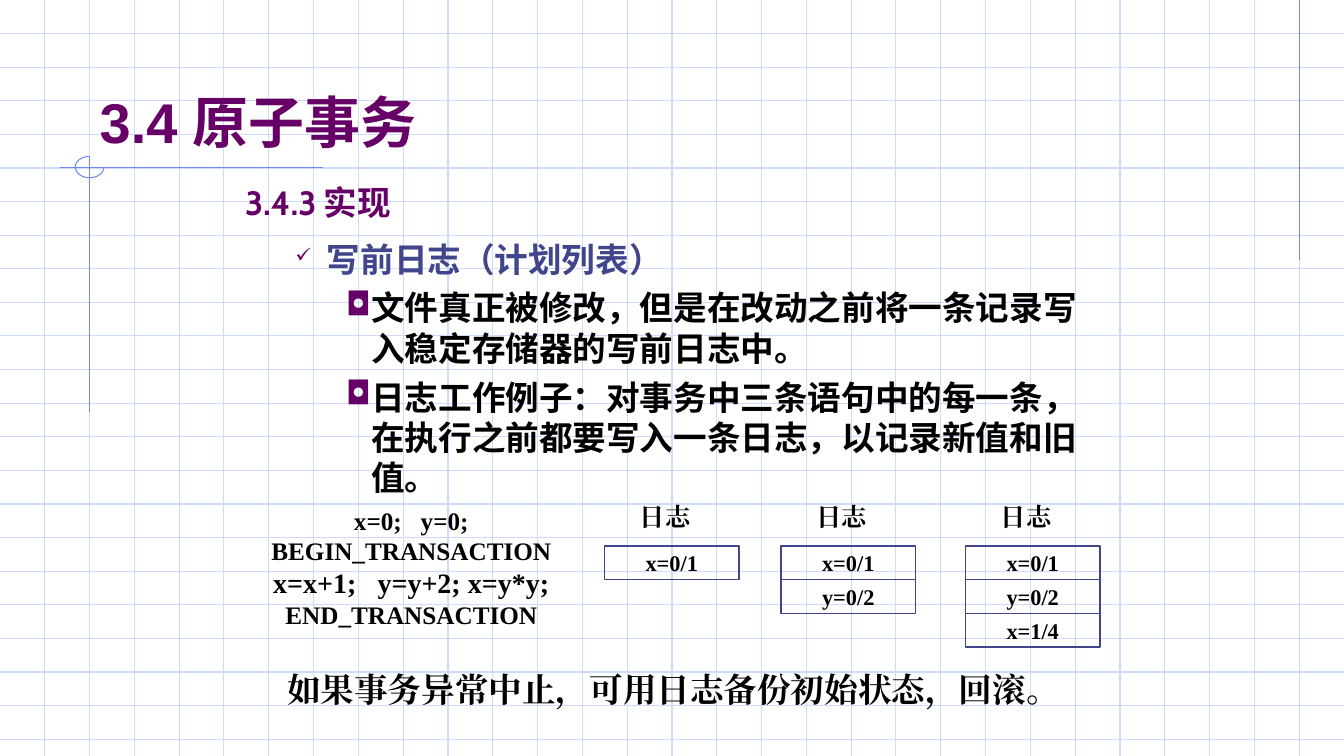
from dataclasses import dataclass

from lxml import etree
from pptx import Presentation
from pptx import util as u
from pptx.dml.color import RGBColor
from pptx.enum import shapes, text
from pptx.oxml import ns


@dataclass(frozen=True)
class Theme:
    purple: str = "660066"
    indigo: str = "40458C"
    black: str = "000000"
    grid: str = "CFDBFD"
    accent: str = "6F89F7"
    title_latin: str = "Arial"
    title_chinese: str = "Noto Sans CJK SC"
    body: str = "Cabin"
    serif: str = "Times New Roman"
    title_size: int = 40
    body_size: int = 24
    code_size: int = 20
    label_size: int = 18
    entry_size: int = 16
    hairline: float = 0.75
    box_line: float = 1


THEME = Theme()
WIDTH, HEIGHT = 33.88, 19.05
GRID_X, GRID_Y = WIDTH / 30, HEIGHT / 22.5


def add_xml(parent, tag, **attributes):
    return etree.SubElement(parent, ns.qn(tag), attributes)


def add_run(paragraph, content, size, font, color):
    run = paragraph.add_run()
    run.text = content
    run.font.size = u.Pt(size)
    run.font.bold = True
    run.font.color.rgb = RGBColor.from_string(color)
    run.font.name = font
    add_xml(run.font.fill._xPr, "a:ea", typeface=font)


def add_line(slide, x1, y1, x2, y2, color):
    line = slide.shapes.add_connector(
        shapes.MSO_CONNECTOR.STRAIGHT, u.Cm(x1), u.Cm(y1), u.Cm(x2), u.Cm(y2))
    line.line.color.rgb = RGBColor.from_string(color)
    line.line.width = u.Pt(THEME.hairline)
    add_xml(line.element.spPr, "a:effectLst")


def add_text_box(slide, left, top, width, height):
    box = slide.shapes.add_textbox(u.Cm(left), u.Cm(top), u.Cm(width), u.Cm(height))
    box.text_frame.word_wrap = True
    return box.text_frame


def add_note(slide, left, top, width, height, runs, space, align=text.PP_ALIGN.LEFT):
    """Add one serif paragraph; runs are (content, size) pairs."""
    paragraph = add_text_box(slide, left, top, width, height).paragraphs[0]
    paragraph.alignment = align
    paragraph.space_before = u.Pt(space)
    for content, size in runs:
        add_run(paragraph, content, size, THEME.serif, THEME.black)


def add_background(slide):
    """Draw the squared paper and the accent lines over it."""
    for row in range(1, 23):
        add_line(slide, 0, row * GRID_Y, WIDTH, row * GRID_Y, THEME.grid)
    for column in range(1, 30):
        add_line(slide, column * GRID_X, 0, column * GRID_X, HEIGHT, THEME.grid)
    add_line(slide, 29 * GRID_X, 0, 29 * GRID_X, 6.55, THEME.accent)
    add_line(slide, 8.15, 4.22, 1.52, 4.22, THEME.accent)
    add_line(slide, 2 * GRID_X, 3.94, 2 * GRID_X, 10.39, THEME.accent)
    arc = slide.shapes.add_shape(
        shapes.MSO_SHAPE.ARC, u.Cm(1.9), u.Cm(3.94), u.Cm(0.72), u.Cm(0.54))
    arc.adjustments[0] = 0
    arc.adjustments[1] = 162  # 270 degrees: open in the upper right quarter
    arc.shadow.inherit = False
    arc.fill.background()
    arc.line.color.rgb = RGBColor.from_string(THEME.accent)
    arc.line.width = u.Pt(THEME.hairline)


def format_title(slide):
    title = slide.shapes.title
    title.left, title.top = u.Cm(2.26), u.Cm(0.85)
    title.width, title.height = u.Cm(28.79), u.Cm(3.17)
    frame = title.text_frame
    frame.auto_size = text.MSO_AUTO_SIZE.NONE
    frame.vertical_anchor = text.MSO_ANCHOR.BOTTOM
    paragraph = frame.paragraphs[0]
    paragraph.alignment = text.PP_ALIGN.LEFT
    for content, font in (("3.4 ", THEME.title_latin), ("原子事务", THEME.title_chinese)):
        add_run(paragraph, content, THEME.title_size, font, THEME.purple)
    # The title lies above the squared paper.
    title.element.getparent().append(title.element)


def format_outline(paragraph, level, margin, hanging, space, bullet, bullet_size):
    paragraph.level = level
    paragraph.space_before = u.Pt(space)
    properties = paragraph._p.get_or_add_pPr()
    properties.set("marL", str(u.Cm(margin)))
    properties.set("indent", str(-u.Cm(hanging)))
    if bullet:
        bullet_color = add_xml(properties, "a:buClr")
        add_xml(bullet_color, "a:srgbClr", val=THEME.purple)
        add_xml(properties, "a:buSzPct", val=str(bullet_size * 1000))
        add_xml(properties, "a:buChar", char=bullet)


def add_outline(slide):
    heading = (0, 0.95, 0.95, 6, None, None)
    topic = (1, 2.06, 0.79, 12, "✓", 60)
    detail = (2, 3.18, 0.64, 6, "◘", 95)
    entries = (
        ("3.4.3 实现", THEME.purple, heading),
        ("写前日志（计划列表）", THEME.indigo, topic),
        ("文件真正被修改，但是在改动之前将一条记录写入稳定存储器的写前日志中。",
         THEME.black, detail),
        ("日志工作例子：对事务中三条语句中的每一条，在执行之前都要写入一条日志，"
         "以记录新值和旧值。", THEME.black, detail),
    )
    frame = add_text_box(slide, 5.93, 4.45, 22.2, 13.69)
    for index, (content, color, style) in enumerate(entries):
        paragraph = frame.add_paragraph() if index else frame.paragraphs[0]
        format_outline(paragraph, *style)
        add_run(paragraph, content, THEME.body_size, THEME.body, color)


def add_log_entry(slide, left, top, width, height, content):
    box = slide.shapes.add_shape(
        shapes.MSO_SHAPE.RECTANGLE, u.Cm(left), u.Cm(top), u.Cm(width), u.Cm(height))
    box.shadow.inherit = False
    box.fill.background()
    box.line.color.rgb = RGBColor.from_string(THEME.indigo)
    box.line.width = u.Pt(THEME.box_line)
    frame = box.text_frame
    frame.word_wrap = False
    frame.vertical_anchor = text.MSO_ANCHOR.MIDDLE
    paragraph = frame.paragraphs[0]
    paragraph.alignment = text.PP_ALIGN.CENTER
    add_run(paragraph, content, THEME.entry_size, THEME.serif, THEME.black)


def add_logs(slide):
    """Show the log after each statement, one entry longer every time."""
    entries = ("x=0/1", "y=0/2", "x=1/4")
    for count, left in enumerate((15.24, 19.69, 24.34), start=1):
        add_note(slide, left + 0.64, 12.5, 2.12, 1.02, [("日志", THEME.label_size)], 11.2)
        for row, content in enumerate(entries[:count]):
            add_log_entry(slide, left, 13.76 + row * GRID_Y, 3.39, GRID_Y, content)


def main():
    presentation = Presentation()
    presentation.slide_width, presentation.slide_height = u.Cm(WIDTH), u.Cm(HEIGHT)
    slide = presentation.slides.add_slide(presentation.slide_layouts[5])
    add_background(slide)
    format_title(slide)
    add_outline(slide)
    transaction = [("x=0;   y=0; BEGIN_TRANSACTION ", THEME.label_size),
                   ("x=x+1;   y=y+2; x=y*y; ", THEME.code_size),
                   ("END_TRANSACTION", THEME.label_size)]
    add_note(slide, 6.56, 12.6, 7.62, 3.4, transaction, 11.2, text.PP_ALIGN.CENTER)
    add_logs(slide)
    add_note(slide, 6.99, 16.72, 20.11, 1.27,
             [("如果事务异常中止，可用日志备份初始状态，回滚。", THEME.body_size)], 15)
    presentation.save("out.pptx")


if __name__ == "__main__":
    main()
